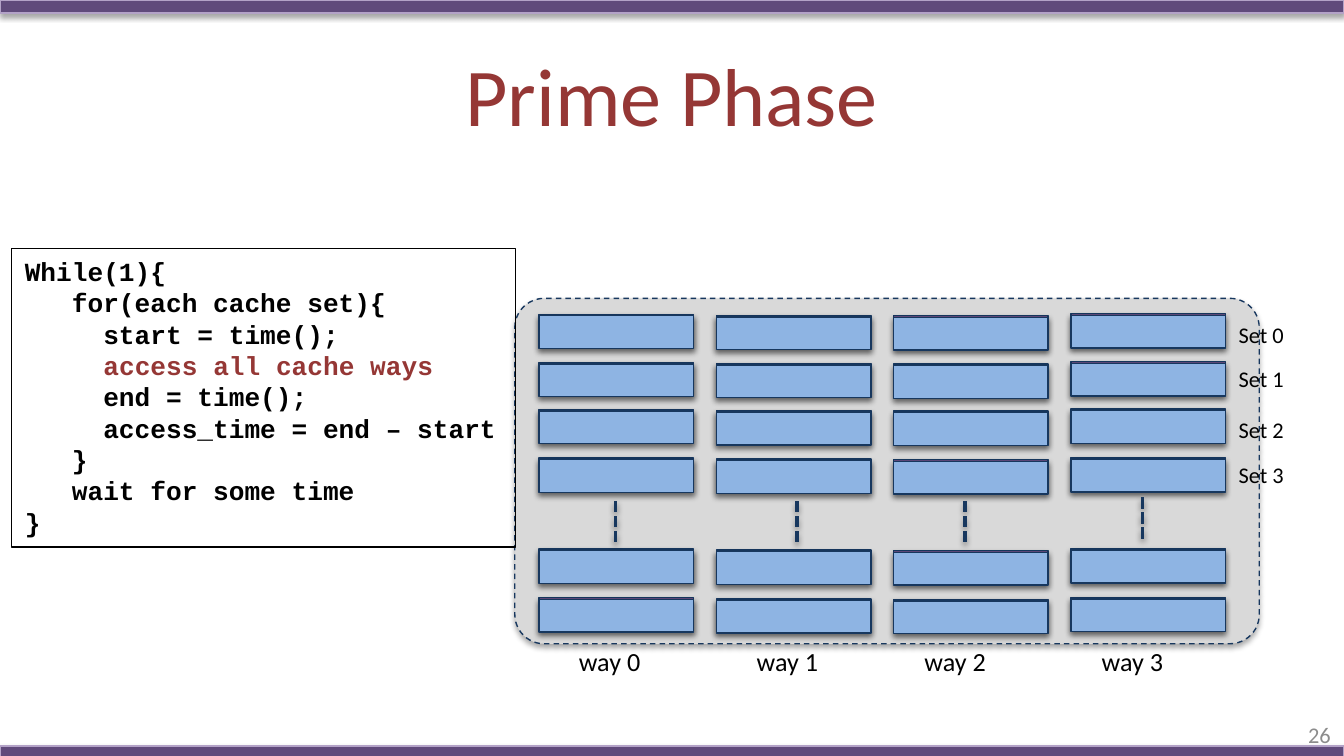
from lxml.etree import SubElement
from pptx import Presentation
from pptx.dml.color import RGBColor
from pptx.enum.dml import MSO_LINE_DASH_STYLE as Dash
from pptx.enum.shapes import MSO_CONNECTOR as Connector, MSO_SHAPE as Shape
from pptx.enum.text import MSO_ANCHOR as Anchor, PP_ALIGN as Align
from pptx.oxml.ns import qn
from pptx.util import Cm, Pt

TITLE = "Prime Phase"
PAGE_NUMBER = "26"
PURPLE, LILAC, NAVY, BLUE = "604A7B", "B3A2C7", "17375E", "8EB4E3"
RED, GRAY, PANEL, BLACK = "953735", "8C8C8C", "D9D9D9", "000000"
CODE = [
    [("While(1){", BLACK)],
    [("   for(each cache set){", BLACK)],
    [("     start = time();", BLACK)],
    [("     ", BLACK), ("access all cache ways", RED)],
    [("     end = time();", BLACK)],
    [("     access_time = end – start", BLACK)],
    [("   }", BLACK)],
    [("   wait for some time", BLACK)],
    [("}", BLACK)],
]
BAR_TOPS = [0, 14.1]
LAYERS = [(PURPLE, -0.03), (BLUE, 0)]
ROW_TOPS = [5.97, 6.88, 7.77, 8.69, 10.41, 11.33]
WAY_NUDGES = [0, 0.02, 0.03, -0.01]
WAY_LEFT, WAY_STEP = 10.19, 3.35
DOTS = [(11.63, 9.47), (15.06, 9.47), (18.24, 9.47), (21.59, 9.4)]
WAY_LABELS = [("way 0", 10.69), ("way 1", 14.05), ("way 2", 17.22), ("way 3", 20.57)]
SET_LABELS = [("Set 0", 5.94), ("Set 1", 6.78), ("Set 2", 7.75), ("Set 3", 8.59)]


def color(value):
    """Turn a hex string into a colour."""
    return RGBColor.from_string(value)


def add_shadow(item, opacity=35):
    """Give a shape or connector a soft shadow below it."""
    effects = SubElement(item._element.spPr, qn("a:effectLst"))
    shadow = SubElement(effects, qn("a:outerShdw"), blurRad=str(Pt(3.1)),
                        dist=str(Pt(1.8)), dir="5400000", rotWithShape="0")
    tint = SubElement(shadow, qn("a:srgbClr"), val=BLACK)
    SubElement(tint, qn("a:alpha"), val=str(opacity * 1000))


def set_line(item, value, width=0.75):
    """Set the line colour and width."""
    item.line.color.rgb = color(value)
    item.line.width = Pt(width)


def add_block(page, kind, place, fill, line):
    """Add a filled, outlined and shadowed shape."""
    block = page.shapes.add_shape(kind, *map(Cm, place))
    block.fill.solid()
    block.fill.fore_color.rgb = color(fill)
    set_line(block, line)
    add_shadow(block)
    return block


def write(frame, lines, size, font="Calibri", bold=False, align=Align.LEFT):
    """Write lines of coloured spans, one paragraph each."""
    for index, spans in enumerate(lines):
        para = frame.add_paragraph() if index else frame.paragraphs[0]
        para.alignment = align
        for text, value in spans:
            span = para.add_run()
            span.text = text
            span.font.size = Pt(size)
            span.font.name = font
            span.font.bold = bold
            span.font.color.rgb = color(value)


def add_text(page, place, lines, size, **style):
    """Add a text box without wrapping."""
    box = page.shapes.add_textbox(*map(Cm, place))
    box.text_frame.word_wrap = False
    write(box.text_frame, lines, size, **style)
    return box


def add_cache(page):
    """Draw the cache panel with its ways, sets and labels."""
    panel = add_block(page, Shape.ROUNDED_RECTANGLE, (9.73, 5.64, 14.07, 6.53), PANEL, NAVY)
    panel.adjustments[0] = 0.085
    panel.line.dash_style = Dash.DASH
    for fill, shift in LAYERS:
        for top in ROW_TOPS:
            for way, nudge in enumerate(WAY_NUDGES):
                place = (WAY_LEFT + way * WAY_STEP, top + nudge + shift, 2.92, 0.62)
                add_block(page, Shape.RECTANGLE, place, fill, NAVY)
    for left, top in DOTS:
        dots = page.shapes.add_connector(
            Connector.STRAIGHT, *map(Cm, (left, top, left, top + 0.84)))
        set_line(dots, NAVY, 2)
        dots.line.dash_style = Dash.SQUARE_DOT
        add_shadow(dots, 38)
    for text, left in WAY_LABELS:
        add_text(page, (left, 12.07, 1.7, 0.86), [[(text, BLACK)]], 14)
    for text, top in SET_LABELS:
        add_text(page, (23.16, top, 1.37, 0.76), [[(text, BLACK)]], 12)


def main():
    """Build the slide and save it."""
    deck = Presentation()
    deck.slide_width, deck.slide_height = Cm(25.4), Cm(14.29)
    page = deck.slides.add_slide(deck.slide_layouts[5])
    for top in BAR_TOPS:
        add_block(page, Shape.RECTANGLE, (0, top, 25.4, 0.25), PURPLE, LILAC)

    title = page.shapes.title
    title.left, title.top, title.width, title.height = map(Cm, (1.27, 0.58, 22.86, 2.39))
    title.text_frame.vertical_anchor = Anchor.MIDDLE
    write(title.text_frame, [[(TITLE, RED)]], 44, align=Align.CENTER)

    number = add_text(page, (19.48, 13.51, 5.92, 0.76), [[(PAGE_NUMBER, GRAY)]], 12,
                      align=Align.RIGHT)
    number.text_frame.word_wrap = True
    number.text_frame.vertical_anchor = Anchor.MIDDLE

    add_cache(page)
    code = add_text(page, (0.22, 4.7, 9.53, 5.64), CODE, 14, font="Courier New", bold=True)
    set_line(code, BLACK)
    deck.save("out.pptx")


if __name__ == "__main__":
    main()
